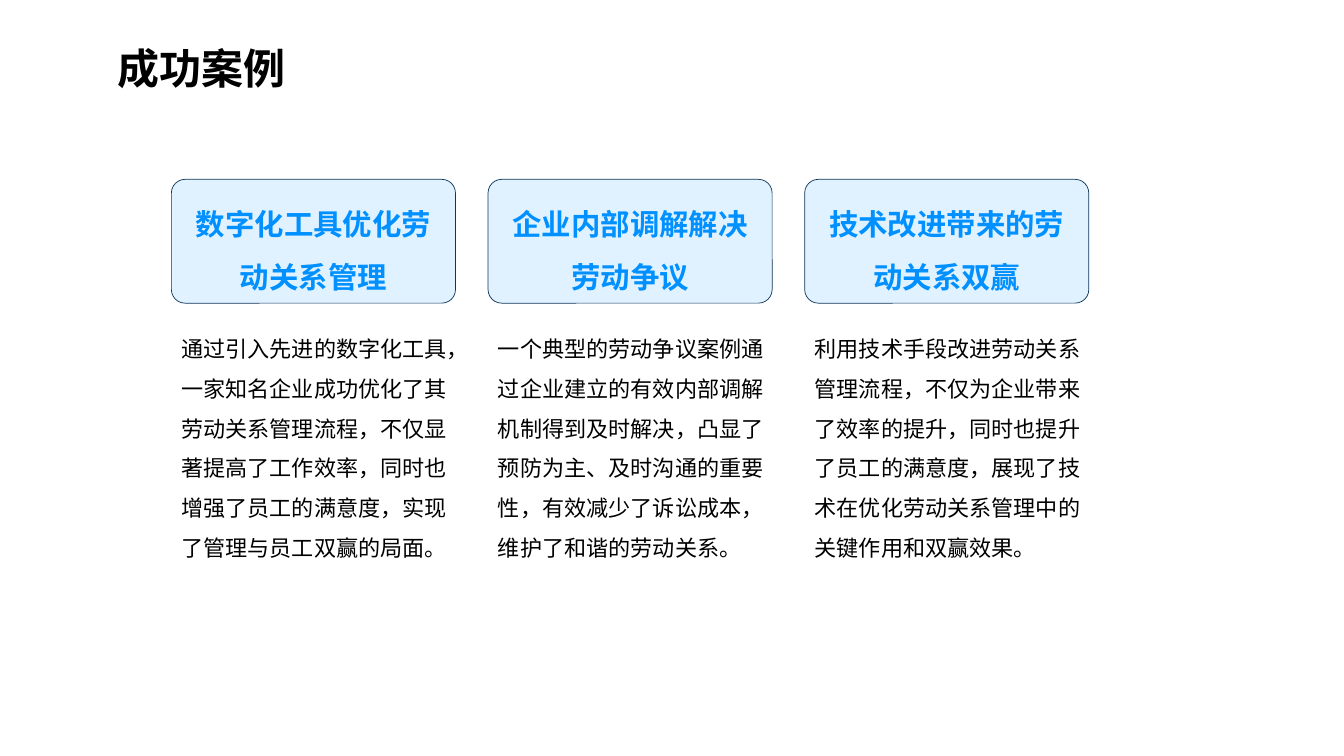
from lxml.etree import SubElement
from pptx import Presentation
from pptx.dml.color import RGBColor
from pptx.enum.shapes import MSO_SHAPE
from pptx.enum.text import MSO_ANCHOR, MSO_AUTO_SIZE, PP_ALIGN
from pptx.oxml.ns import qn
from pptx.util import Cm, Pt

FONT = "Noto Sans CJK SC"
BLACK = RGBColor(0x00, 0x00, 0x00)
BLUE = RGBColor(0x00, 0x90, 0xFF)
PALE_BLUE = RGBColor(0xE0, 0xF2, 0xFF)
NAVY = RGBColor(0x0F, 0x35, 0x58)

FIRST_LEFT = 4.32
COLUMN_STEP = 7.98

CASES = [
    ("数字化工具优化劳动关系管理",
     "通过引入先进的数字化工具，一家知名企业成功优化了其劳动关系管理流程，"
     "不仅显著提高了工作效率，同时也增强了员工的满意度，实现了管理与员工双赢的局面。"),
    ("企业内部调解解决劳动争议",
     "一个典型的劳动争议案例通过企业建立的有效内部调解机制得到及时解决，"
     "凸显了预防为主、及时沟通的重要性，有效减少了诉讼成本，维护了和谐的劳动关系。"),
    ("技术改进带来的劳动关系双赢",
     "利用技术手段改进劳动关系管理流程，不仅为企业带来了效率的提升，"
     "同时也提升了员工的满意度，展现了技术在优化劳动关系管理中的关键作用和双赢效果。"),
]


def write_text(shape, text, size, color, bold=False, alignment=PP_ALIGN.LEFT):
    frame = shape.text_frame
    frame.word_wrap = True
    frame.auto_size = MSO_AUTO_SIZE.SHAPE_TO_FIT_TEXT
    frame.vertical_anchor = MSO_ANCHOR.MIDDLE
    paragraph = frame.paragraphs[0]
    paragraph.alignment = alignment
    paragraph.line_spacing = 1.5
    run = paragraph.add_run()
    run.text = text
    run.font.size = Pt(size)
    run.font.bold = bold
    run.font.color.rgb = color
    run.font.name = FONT
    SubElement(run._r.get_or_add_rPr(), qn("a:ea")).set("typeface", FONT)


def add_title(slide, text):
    shape = slide.shapes.add_textbox(Cm(2.72), Cm(0.3), Cm(26.04), Cm(2.16))
    write_text(shape, text, 30, BLACK, bold=True)


def add_description(slide, left, text):
    shape = slide.shapes.add_textbox(Cm(left), Cm(8), Cm(7.62), Cm(6.25))
    write_text(shape, text, 15.8, BLACK)


def add_heading_card(slide, left, text):
    shape = slide.shapes.add_shape(
        MSO_SHAPE.ROUNDED_RECTANGLE, Cm(left), Cm(4.52), Cm(7.16), Cm(3.12))
    shape.adjustments[0] = 0.11
    shape.shadow.inherit = False
    shape.fill.solid()
    shape.fill.fore_color.rgb = PALE_BLUE
    shape.line.color.rgb = NAVY
    shape.line.width = Pt(0.5)
    write_text(shape, text, 21, BLUE, bold=True, alignment=PP_ALIGN.CENTER)


def main():
    presentation = Presentation()
    presentation.slide_width = Cm(33.87)
    presentation.slide_height = Cm(19.05)
    slide = presentation.slides.add_slide(presentation.slide_layouts[6])
    add_title(slide, "成功案例")
    for index, (heading, description) in enumerate(CASES):
        left = FIRST_LEFT + index * COLUMN_STEP
        add_description(slide, left, description)
        add_heading_card(slide, left, heading)
    presentation.save("out.pptx")


if __name__ == "__main__":
    main()
